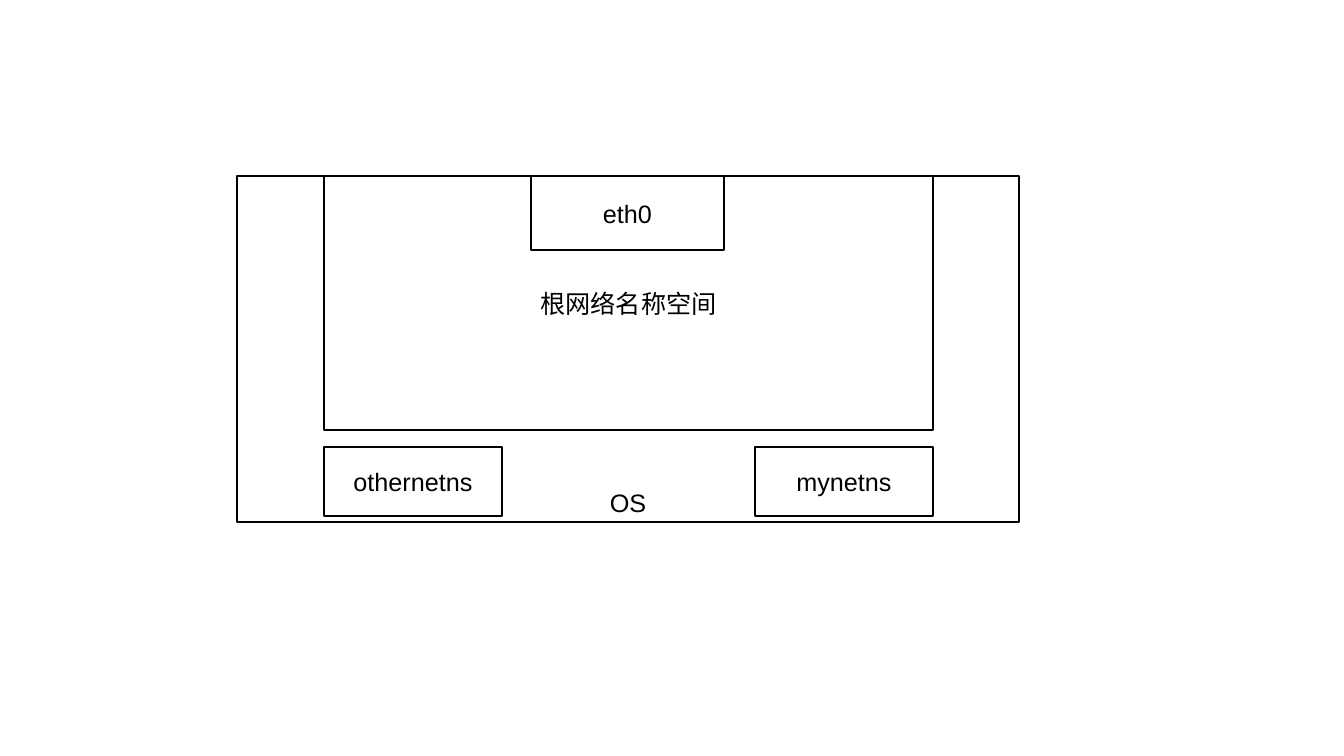
from dataclasses import dataclass

from pptx import Presentation
from pptx.dml.color import RGBColor
from pptx.enum.shapes import MSO_SHAPE
from pptx.enum.text import MSO_ANCHOR, PP_ALIGN
from pptx.shapes.group import GroupShape
from pptx.text.text import TextFrame
from pptx.util import Emu, Pt

EMU_PER_PIXEL = 914400 / 100.8
BLACK, WHITE = "000000", "FFFFFF"


@dataclass(frozen=True)
class Box:
    left: int
    top: int
    width: int
    height: int
    label: str = ""

    def emu(self) -> list[Emu]:
        return [px(n) for n in (self.left, self.top, self.width, self.height)]


def px(pixels: int) -> Emu:
    return Emu(round(pixels * EMU_PER_PIXEL))


def color(value: str) -> RGBColor:
    return RGBColor.from_string(value)


def write(frame: TextFrame, text: str, *, size: int = 18, font: str = "Arial",
          fill: str = BLACK, align: PP_ALIGN = PP_ALIGN.CENTER,
          anchor: MSO_ANCHOR = MSO_ANCHOR.MIDDLE, wrap: bool = True) -> None:
    frame.word_wrap = wrap
    frame.vertical_anchor = anchor
    paragraph = frame.paragraphs[0]
    paragraph.alignment = align
    run = paragraph.add_run()
    run.text = text
    run.font.size = Pt(size)
    run.font.name = font
    run.font.color.rgb = color(fill)


def draw_box(diagram: GroupShape, box: Box) -> None:
    rectangle = diagram.shapes.add_shape(MSO_SHAPE.RECTANGLE, *box.emu())
    rectangle.shadow.inherit = False
    rectangle.fill.solid()
    rectangle.fill.fore_color.rgb = color(WHITE)
    rectangle.line.color.rgb = color(BLACK)
    rectangle.line.width = Pt(1)
    if box.label:
        write(rectangle.text_frame, box.label)


def draw_caption(diagram: GroupShape, box: Box) -> None:
    caption = diagram.shapes.add_textbox(*box.emu())
    write(caption.text_frame, box.label, anchor=MSO_ANCHOR.TOP, wrap=False)


# Host, with the root namespace and its interface hanging from the top edge
host = Box(237, 176, 782, 346)
root_namespace = Box(324, host.top, 609, 254, "根网络名称空间")
interface = Box(531, host.top, 193, 74, "eth0")

# Host caption, centred on the host and wide enough for one line
caption_width = 72
host_caption = Box(host.left + (host.width - caption_width) // 2, 482,
                   caption_width, 40, "OS")

# Further namespaces, flush with the sides of the root namespace
other_namespace = Box(root_namespace.left, 447, 178, 69, "othernetns")
my_namespace = Box(root_namespace.left + root_namespace.width - other_namespace.width,
                   other_namespace.top, other_namespace.width,
                   other_namespace.height, "mynetns")

# Slide
presentation = Presentation()
presentation.slide_width, presentation.slide_height = px(1344), px(756)
slide = presentation.slides.add_slide(presentation.slide_layouts[6])

# Diagram, from back to front
diagram = slide.shapes.add_group_shape()
for box in (host, root_namespace, interface, my_namespace, other_namespace):
    draw_box(diagram, box)
draw_caption(diagram, host_caption)

presentation.save("out.pptx")
